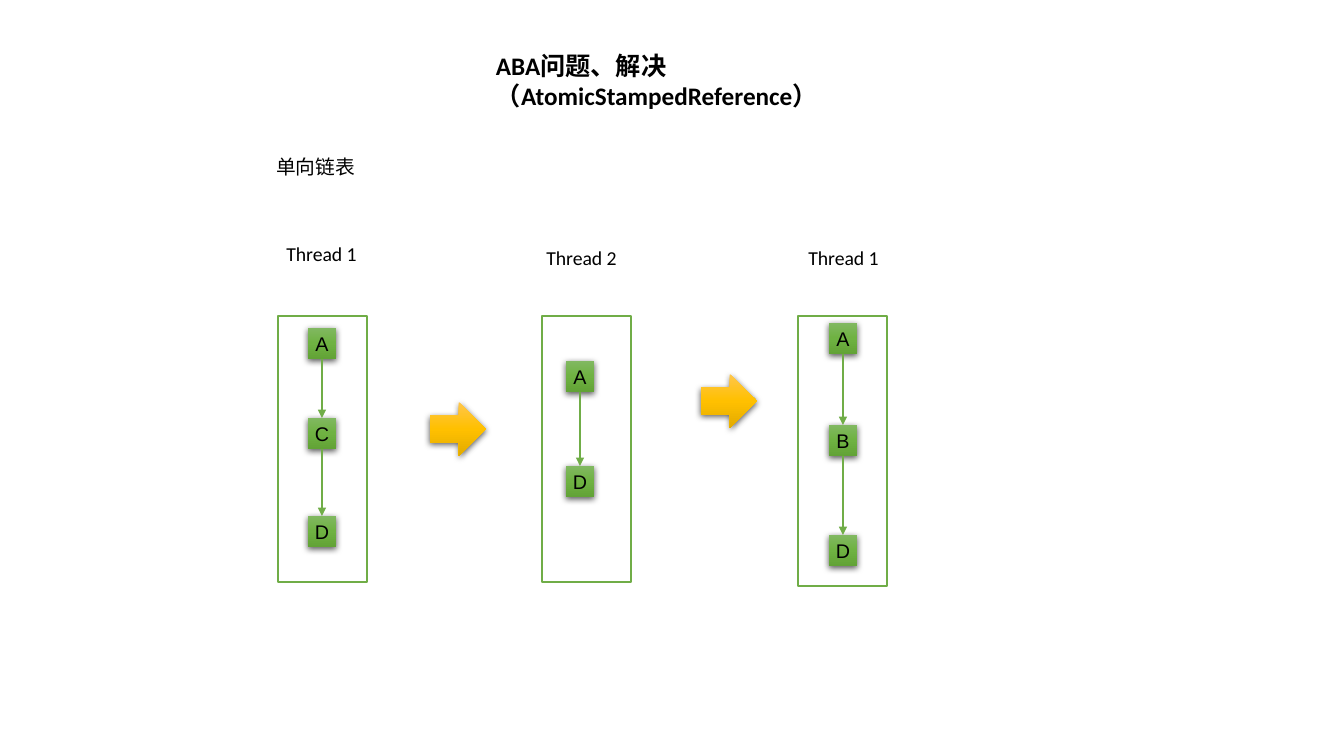
import dataclasses
import itertools

import pptx
import pptx.dml.color
import pptx.enum.shapes
import pptx.enum.text
import pptx.oxml
import pptx.oxml.ns
import pptx.util

SHAPE = pptx.enum.shapes.MSO_SHAPE
ALIGN = pptx.enum.text.PP_ALIGN
ANCHOR = pptx.enum.text.MSO_ANCHOR
EMU_PER_PX = 914400 / 100.8
NS = pptx.oxml.ns.nsdecls("a")


@dataclasses.dataclass(frozen=True)
class Theme:
    """Colours, fonts and type sizes of the slide."""
    text: str = "000000"
    paper: str = "FFFFFF"
    green: str = "70AD47"
    node: tuple = ("81B861", "6FB242", "62A336")
    arrow: tuple = ("FFC64B", "FFC000", "E3AB00")
    body_font: str = "Calibri"
    node_font: str = "Arial"
    title_size: float = 18
    label_size: float = 14.1


def px(n):
    """Turn pixels into EMU."""
    return pptx.util.Emu(round(n * EMU_PER_PX))


def rgb(value):
    """Turn a hex string into a colour."""
    return pptx.dml.color.RGBColor.from_string(value)


class Deck:
    """Holds the theme and the current slide."""

    def __init__(self, theme):
        """Open a presentation with one title-only slide."""
        self.theme = theme
        self.prs = pptx.Presentation()
        self.prs.slide_width, self.prs.slide_height = px(1344), px(756)
        self.slide = self.prs.slides.add_slide(self.prs.slide_layouts[5])

    def set_text(self, sp, text, font, size, inset, align=ALIGN.CENTER,
                 anchor=ANCHOR.MIDDLE, wrap=False, bold=False):
        """Put one formatted paragraph into a shape."""
        tf = sp.text_frame
        tf.text = text
        tf.auto_size = pptx.enum.text.MSO_AUTO_SIZE.NONE
        tf.word_wrap = wrap
        tf.vertical_anchor = anchor
        tf.margin_left = tf.margin_right = px(inset)
        tf.margin_top = tf.margin_bottom = px(4)
        p = tf.paragraphs[0]
        p.alignment = align
        p.font.name, p.font.size, p.font.bold = font, pptx.util.Pt(size), bold
        p.font.color.rgb = rgb(self.theme.text)

    def title(self, text, x, y, w, h):
        """Fill and move the title placeholder."""
        sp = self.slide.shapes.title
        sp.left, sp.top, sp.width, sp.height = map(px, (x, y, w, h))
        self.set_text(sp, text, self.theme.body_font, self.theme.title_size,
                      10, ALIGN.LEFT, ANCHOR.TOP, True, True)

    def label(self, text, x, y, w=79, h=31):
        """Add a centred text label."""
        sp = self.slide.shapes.add_textbox(*map(px, (x, y, w, h)))
        self.set_text(sp, text, self.theme.body_font, self.theme.label_size, 4)

    def shape(self, kind, x, y, w, h):
        """Add a preset shape without a shadow."""
        sp = self.slide.shapes.add_shape(kind, *map(px, (x, y, w, h)))
        sp.shadow.inherit = False
        return sp

    def frame(self, x, y, w, h):
        """Add an outlined list frame."""
        sp = self.shape(SHAPE.RECTANGLE, x, y, w, h)
        sp.fill.solid()
        sp.fill.fore_color.rgb = rgb(self.theme.paper)
        sp.line.color.rgb = rgb(self.theme.green)
        sp.line.width = pptx.util.Pt(1)

    def glossy(self, kind, colors, x, y, w, h):
        """Add a shape with a vertical gradient and a soft shadow."""
        sp = self.shape(kind, x, y, w, h)
        sp.line.fill.background()
        sp.fill.gradient()
        sp.fill.gradient_angle = 270
        stops = sp.element.spPr.find(".//" + pptx.oxml.ns.qn("a:gsLst"))
        stops[:] = [pptx.oxml.parse_xml(
            f'<a:gs {NS} pos="{i * 50000}"><a:srgbClr val="{c}"/></a:gs>')
            for i, c in enumerate(colors)]
        effects = sp.element.spPr.find(pptx.oxml.ns.qn("a:effectLst"))
        effects.append(pptx.oxml.parse_xml(
            f'<a:outerShdw {NS} blurRad="57150" dist="19050" dir="5400000" '
            'algn="ctr" rotWithShape="0"><a:srgbClr val="000000">'
            '<a:alpha val="63000"/></a:srgbClr></a:outerShdw>'))
        return sp

    def node(self, text, x, y):
        """Add a lettered list node."""
        sp = self.glossy(SHAPE.RECTANGLE, self.theme.node, x, y, 28, 31)
        self.set_text(sp, text, self.theme.node_font, self.theme.label_size, 7)
        return sp

    def link(self, upper, lower):
        """Join two nodes with a downward arrow."""
        line = self.slide.shapes.add_connector(
            pptx.enum.shapes.MSO_CONNECTOR.STRAIGHT, 0, 0, 0, 0)
        line.begin_connect(upper, 2)
        line.end_connect(lower, 0)
        line.line.color.rgb = rgb(self.theme.green)
        line.line.width = pptx.util.Pt(1.5)
        sp_pr = line.element.spPr
        sp_pr.find(pptx.oxml.ns.qn("a:ln")).append(
            pptx.oxml.parse_xml(f'<a:tailEnd {NS} type="triangle"/>'))
        sp_pr.append(pptx.oxml.parse_xml(f"<a:effectLst {NS}/>"))

    def linked_list(self, frame, x, nodes):
        """Draw a frame with its chain of linked nodes."""
        self.frame(*frame)
        chain = [self.node(text, x, y) for text, y in nodes]
        for upper, lower in itertools.pairwise(chain):
            self.link(upper, lower)

    def arrow(self, x, y):
        """Add a block arrow between two lists."""
        self.glossy(SHAPE.RIGHT_ARROW, self.theme.arrow, x, y, 56, 54)


# Thread label, label position, frame box, node left, nodes with their tops
THREADS = [
    ("Thread 1", (282, 238), (278, 316, 89, 266), 308,
     [("A", 328), ("C", 418), ("D", 516)]),
    ("Thread 2", (542, 242), (542, 316, 89, 266), 566,
     [("A", 361), ("D", 466)]),
    ("Thread 1", (804, 242), (798, 316, 89, 270), 829,
     [("A", 323), ("B", 425), ("D", 535)]),
]

deck = Deck(Theme())
deck.title("ABA问题、解决（AtomicStampedReference）", 486, 46, 480, 70)
deck.label("单向链表", 272, 151, 87)
for name, spot, frame, node_x, nodes in THREADS:
    deck.label(name, *spot)
    deck.linked_list(frame, node_x, nodes)
for spot in ((430, 402), (701, 374)):
    deck.arrow(*spot)
deck.prs.save("out.pptx")
